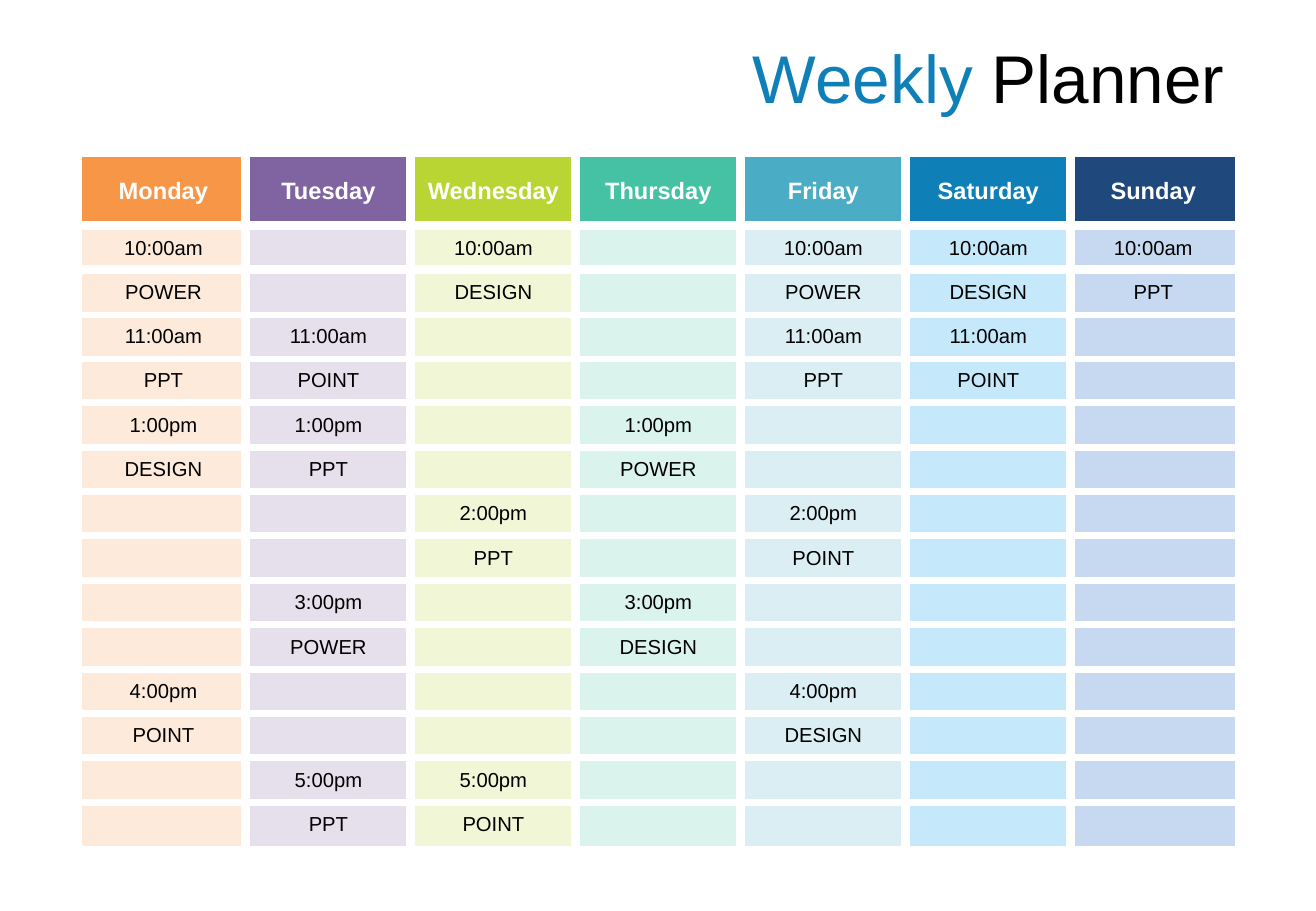
"""Build a weekly planner slide with a colour-coded timetable."""
import lxml.etree
import pptx
import pptx.dml.color
import pptx.enum.text
import pptx.oxml.ns
import pptx.util

PX = 7526
COLORS = {"white": "FFFFFF", "black": "000000", "title": "0E7FB7"}
DAYS = {
    "Monday": ("F79646", "FDEADA"),
    "Tuesday": ("8064A2", "E6E0EC"),
    "Wednesday": ("B9D533", "F1F7D6"),
    "Thursday": ("45C1A4", "DAF3ED"),
    "Friday": ("4BACC6", "DBEEF4"),
    "Saturday": ("0E7FB7", "C5E9FB"),
    "Sunday": ("1F497D", "C6D9F1"),
}
SCHEDULE = {
    "10:00am": ["POWER", "", "DESIGN", "", "POWER", "DESIGN", "PPT"],
    "11:00am": ["PPT", "POINT", "", "", "PPT", "POINT", ""],
    "1:00pm": ["DESIGN", "PPT", "", "POWER", "", "", ""],
    "2:00pm": ["", "", "PPT", "", "POINT", "", ""],
    "3:00pm": ["", "POWER", "", "DESIGN", "", "", ""],
    "4:00pm": ["POINT", "", "", "", "DESIGN", "", ""],
    "5:00pm": ["", "PPT", "POINT", "", "", "", ""],
}
HEADER_HEIGHT = 70
BODY_HEIGHT = 621
NO_GRID_STYLE = "{2D5ABB26-0587-4C30-8999-92F81FD0307C}"


def add_run(paragraph, text, size, color, bold=False):
    run = paragraph.add_run()
    run.text = text
    settings = {"name": "Arial", "size": pptx.util.Pt(size), "bold": bold}
    for name, value in settings.items():
        setattr(run.font, name, value)
    run.font.color.rgb = pptx.dml.color.RGBColor.from_string(COLORS[color])


def add_border(cell, side, points):
    properties = cell._tc.get_or_add_tcPr()
    line = lxml.etree.SubElement(
        properties, pptx.oxml.ns.qn(f"a:ln{side}"), w=str(pptx.util.Pt(points)))
    fill = lxml.etree.SubElement(line, pptx.oxml.ns.qn("a:solidFill"))
    lxml.etree.SubElement(fill, pptx.oxml.ns.qn("a:srgbClr"), val=COLORS["white"])


presentation = pptx.Presentation()
presentation.slide_width = 1316 * PX
presentation.slide_height = 911 * PX
slide = presentation.slides.add_slide(presentation.slide_layouts[6])

title = slide.shapes.add_textbox(81 * PX, 30 * PX, 1155 * PX, 94 * PX)
title.text_frame.word_wrap = True
title.text_frame.auto_size = pptx.enum.text.MSO_AUTO_SIZE.SHAPE_TO_FIT_TEXT
paragraph = title.text_frame.paragraphs[0]
paragraph.alignment = pptx.enum.text.PP_ALIGN.RIGHT
add_run(paragraph, "Weekly ", 40, "title")
add_run(paragraph, "Planner", 40, "black")

rows = [list(DAYS)]
for time, subjects in SCHEDULE.items():
    rows.append([time if subject else "" for subject in subjects])
    rows.append(subjects)
last_row = len(rows) - 1
last_column = len(DAYS) - 1

frame = slide.shapes.add_table(
    len(rows), len(DAYS), 81 * PX, 156 * PX, 1155 * PX, (HEADER_HEIGHT + BODY_HEIGHT) * PX)
table = frame.table
table.first_row = False
table.horz_banding = False
table._tbl.tblPr.find(pptx.oxml.ns.qn("a:tableStyleId")).text = NO_GRID_STYLE
for column in table.columns:
    column.width = 165 * PX

edges = [round(BODY_HEIGHT * index / last_row) for index in range(last_row + 1)]
heights = [HEADER_HEIGHT] + [end - start for start, end in zip(edges, edges[1:])]

for row_index, texts in enumerate(rows):
    table.rows[row_index].height = heights[row_index] * PX
    is_header = row_index == 0
    is_time = row_index % 2 == 1
    for column_index, (text, fills) in enumerate(zip(texts, DAYS.values())):
        cell = table.cell(row_index, column_index)
        borders = {
            "L": 1 if column_index == 0 else 6,
            "R": 1 if column_index == last_column else 6,
        }
        if is_header:
            borders.update(T=1, B=6)
        elif is_time:
            borders["T"] = 6 if row_index == 1 else 4.5
        else:
            borders["B"] = 1 if row_index == last_row else 4.5
        for side, points in borders.items():
            add_border(cell, side, points)
        cell.fill.solid()
        cell.fill.fore_color.rgb = pptx.dml.color.RGBColor.from_string(
            fills[0] if is_header else fills[1])
        cell.vertical_anchor = pptx.enum.text.MSO_ANCHOR.MIDDLE
        paragraph = cell.text_frame.paragraphs[0]
        paragraph.alignment = pptx.enum.text.PP_ALIGN.CENTER
        if is_header:
            for side in ("left", "top", "right", "bottom"):
                setattr(cell, f"margin_{side}", 0)
            add_run(paragraph, text, 14, "white", bold=True)
        elif text:
            add_run(paragraph, text, 12, "black")
        else:
            lxml.etree.SubElement(
                paragraph._p, pptx.oxml.ns.qn("a:endParaRPr"), sz="1200")

presentation.save("out.pptx")
